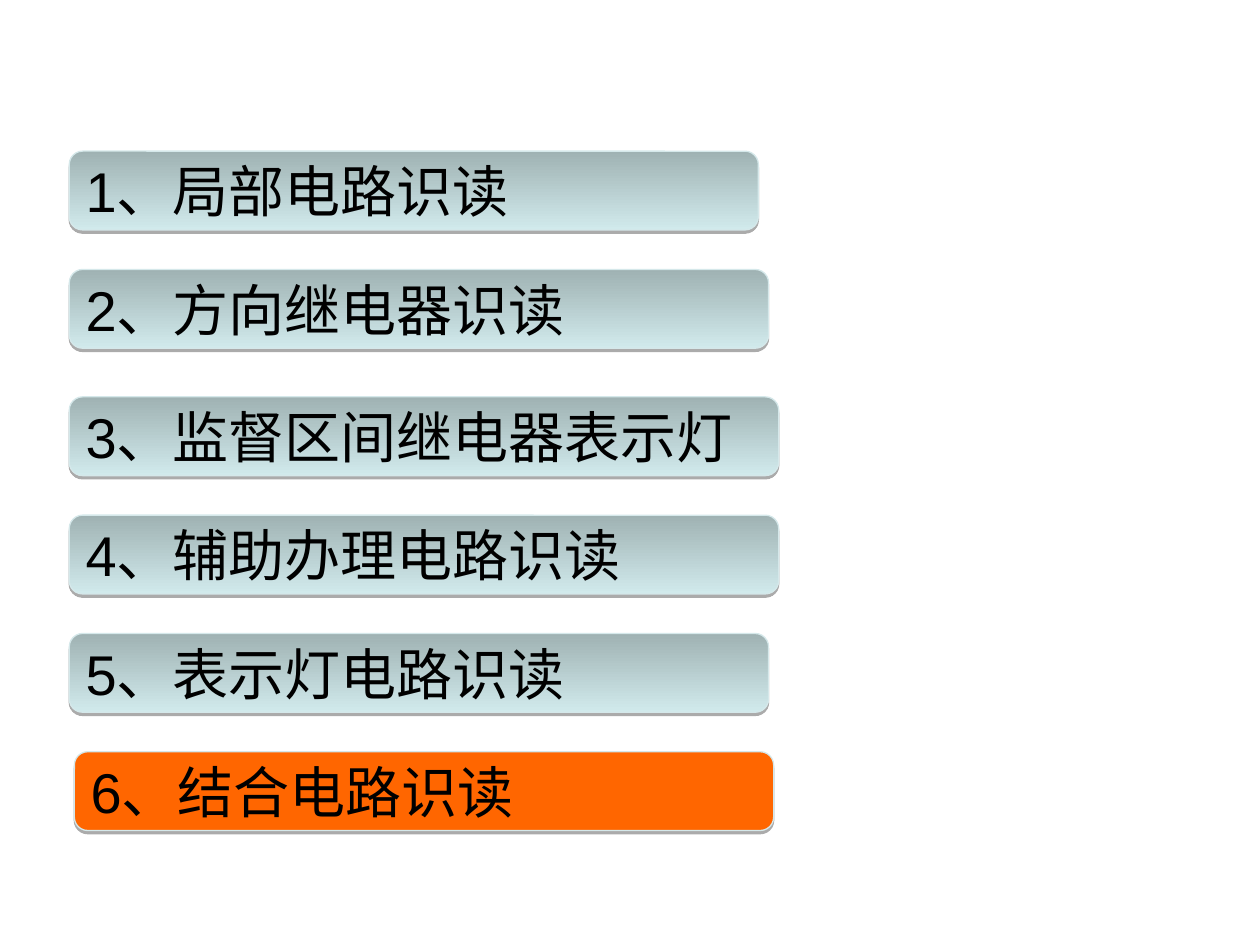
from lxml import etree
from pptx import Presentation
from pptx.dml.color import RGBColor
from pptx.enum.shapes import MSO_SHAPE
from pptx.enum.text import MSO_ANCHOR, PP_ALIGN
from pptx.oxml.ns import qn
from pptx.util import Pt

ROUNDED = MSO_SHAPE.ROUNDED_RECTANGLE
MIDDLE = MSO_ANCHOR.MIDDLE
LEFT = PP_ALIGN.LEFT

THEME = {
    "font": "Arial",
    "size": 32,
    "text": "000000",
    "bar_top": "9FB2B3",
    "bar_bottom": "D1EAEC",
    "current": "FF6600",
    "outline": "D5E8EA",
    "shadow": "000000",
}

# Two groups of agenda bars: top of the group, then (text, left, width)
GROUPS = [
    (86.4, [
        ("1、局部电路识读", 39.6, 393.8),
        ("2、方向继电器识读", 39.6, 399.6),
    ]),
    (226.8, [
        ("3、监督区间继电器表示灯", 39.6, 405.4),
        ("4、辅助办理电路识读", 39.6, 405.4),
        ("5、表示灯电路识读", 39.6, 399.6),
        ("6、结合电路识读", 42.5, 399.6),
    ]),
]
CURRENT = "6、结合电路识读"
BAR_HEIGHT = 45
PITCH = 67.6


def rgb(name):
    return RGBColor.from_string(THEME[name])


def add_shadow(s, distance=1.8, opacity=32):
    """Give the shape a hard shadow straight below it."""
    s.shadow.inherit = False
    effects = s._element.spPr.find(qn("a:effectLst"))
    shadow = etree.SubElement(effects, qn("a:outerShdw"), blurRad="0",
                              dist=str(Pt(distance)), dir="5400000",
                              algn="ctr", rotWithShape="0")
    color = etree.SubElement(shadow, qn("a:srgbClr"), val=THEME["shadow"])
    etree.SubElement(color, qn("a:alpha"), val=str(opacity * 1000))


def fill_bar(fill, current):
    if current:
        fill.solid()
        fill.fore_color.rgb = rgb("current")
        return
    fill.gradient()
    fill.gradient_angle = 270
    for stop, name in zip(fill.gradient_stops, ("bar_top", "bar_bottom")):
        stop.color.rgb = rgb(name)


def write(tf, text, size=THEME["size"], color="text", align=LEFT):
    tf.word_wrap = True
    tf.vertical_anchor = MIDDLE
    p = tf.paragraphs[0]
    p.alignment = align
    r = p.add_run()
    r.text = text
    r.font.name = THEME["font"]
    r.font.size = Pt(size)
    r.font.color.rgb = rgb(color)


def add_bar(slide, text, left, top, width):
    s = slide.shapes.add_shape(ROUNDED, Pt(left), Pt(top), Pt(width), Pt(BAR_HEIGHT))
    s.adjustments[0] = 0.17
    fill_bar(s.fill, text == CURRENT)
    s.line.color.rgb = rgb("outline")
    s.line.width = Pt(0.75)
    add_shadow(s)
    write(s.text_frame, text)


def main():
    prs = Presentation()
    prs.slide_width, prs.slide_height = Pt(720), Pt(540)
    slide = prs.slides.add_slide(prs.slide_layouts[6])
    for top, bars in GROUPS:
        for i, (text, left, width) in enumerate(bars):
            add_bar(slide, text, left, top + i * PITCH, width)
    prs.save("out.pptx")


if __name__ == "__main__":
    main()
